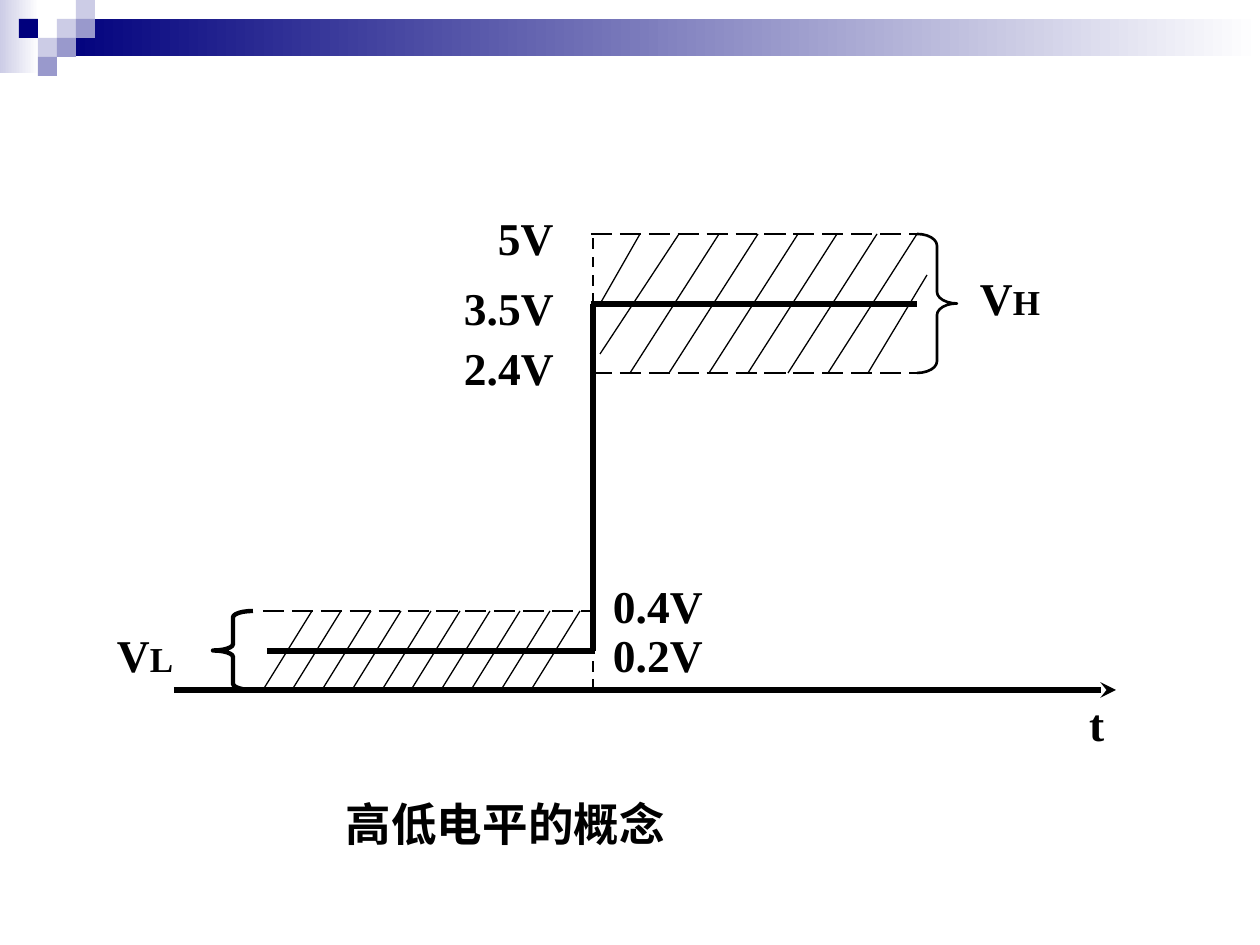
from lxml import etree
from pptx import Presentation
from pptx.dml.color import RGBColor
from pptx.enum.dml import MSO_LINE
from pptx.enum.shapes import MSO_CONNECTOR, MSO_SHAPE
from pptx.oxml.ns import qn
from pptx.util import Emu, Pt

STRAIGHT = MSO_CONNECTOR.STRAIGHT
RECTANGLE = MSO_SHAPE.RECTANGLE
LEFT_BRACE = MSO_SHAPE.LEFT_BRACE
RIGHT_BRACE = MSO_SHAPE.RIGHT_BRACE
DASH = MSO_LINE.DASH
LONG_DASH = MSO_LINE.LONG_DASH
EMU_PER_PX = 914400 / 126

BLACK, WHITE = "000000", "FFFFFF"
NAVY, LAVENDER, PERIWINKLE = "00007D", "CCCCE6", "9999CC"
HIGH_TOP, HIGH, HIGH_BOTTOM = 234, 304, 373
LOW_TOP, LOW, AXIS = 611, 651, 690
EDGE = 593


def px(length):
    return Emu(round(length * EMU_PER_PX))


def color(value):
    return RGBColor.from_string(value)


class Painter:
    """Draws styled elements on the current page."""

    def __init__(self, page, font_name="Times New Roman", font_size=26):
        self.page = page
        self.font_name = font_name
        self.font_size = font_size

    def shape(self, kind, left, top, width, height):
        shape = self.page.shapes.add_shape(kind, px(left), px(top), px(width), px(height))
        shape.shadow.inherit = False
        return shape

    def block(self, left, top, width, height, fill):
        block = self.shape(RECTANGLE, left, top, width, height)
        block.fill.solid()
        block.fill.fore_color.rgb = color(fill)
        block.line.fill.background()

    def fade(self, left, top, width, height, fill):
        band = self.shape(RECTANGLE, left, top, width, height)
        band.fill.gradient()
        band.fill.gradient_angle = 180
        for stop, value in zip(band.fill.gradient_stops, (WHITE, fill)):
            stop.color.rgb = color(value)
        band.line.fill.background()

    def brace(self, kind, left, top, width, height, weight):
        brace = self.shape(kind, left, top, width, height)
        brace.adjustments[0] = round(height / width / 12, 2)
        brace.fill.background()
        brace.line.color.rgb = color(BLACK)
        brace.line.width = Pt(weight)

    def line(self, x1, y1, x2, y2, weight=0.75, dash=None, arrow=False):
        line = self.page.shapes.add_connector(STRAIGHT, px(x1), px(y1), px(x2), px(y2))
        line.line.color.rgb = color(BLACK)
        line.line.width = Pt(weight)
        if dash is not None:
            line.line.dash_style = dash
        if arrow:
            etree.SubElement(line.line._get_or_add_ln(), qn("a:tailEnd"), type="stealth")
        etree.SubElement(line._element.spPr, qn("a:effectLst"))

    def label(self, left, top, width, text, small="", indent=0):
        box = self.page.shapes.add_textbox(px(left), px(top), px(width), px(68))
        frame = box.text_frame
        frame.word_wrap = True
        frame.margin_left = px(13 + indent)
        para = frame.paragraphs[0]
        para.font.name = self.font_name
        para.font.size = Pt(self.font_size)
        para.font.bold = True
        para.font.color.rgb = color(BLACK)
        para.add_run().text = text
        if small:
            span = para.add_run()
            span.text = small
            span.font.size = Pt(20)


def draw_header(painter):
    painter.fade(0, 0, 39, 73, LAVENDER)
    painter.fade(57, 19, 1203, 37, NAVY)
    squares = [(3, 1, LAVENDER), (4, 0, LAVENDER), (4, 1, PERIWINKLE), (2, 2, LAVENDER),
               (1, 1, NAVY), (3, 2, PERIWINKLE), (2, 3, PERIWINKLE)]
    for column, row, fill in squares:
        painter.block(column * 19, row * 19, 19, 19, fill)


def draw_signal(painter):
    painter.line(174, AXIS, 1116, AXIS, 3, arrow=True)
    painter.line(267, LOW, 595, LOW, 3)
    painter.line(591, HIGH, 917, HIGH, 3)
    painter.line(EDGE, LOW, EDGE, HIGH, 3)
    painter.line(EDGE, HIGH, EDGE, HIGH_TOP, 1.5, DASH)
    painter.line(EDGE, AXIS, EDGE, LOW, 1.5, DASH)
    painter.line(263, LOW_TOP, 591, LOW_TOP, 1.5, LONG_DASH)
    for y in (HIGH_TOP, HIGH_BOTTOM):
        painter.line(591, y, 917, y, 1.5, LONG_DASH)


def draw_hatching(painter):
    for step in range(10):
        x = 312 + 268 * step // 9
        painter.line(x, LOW_TOP, x - 49, AXIS)
    for step in range(6):
        x = 630 + 198 * step // 5
        painter.line(x, HIGH_BOTTOM, x + 89, HIGH_TOP)
    painter.line(640, HIGH_TOP, 600, HIGH)
    painter.line(679, HIGH_TOP, 600, 354)
    painter.line(927, 275, 868, HIGH_BOTTOM)


def draw_labels(painter):
    painter.brace(LEFT_BRACE, 213, LOW_TOP, 40, AXIS - LOW_TOP, 2.5)
    painter.brace(RIGHT_BRACE, 917, HIGH_TOP, 40, HIGH_BOTTOM - HIGH_TOP, 1.5)
    painter.label(104, 621, 139, "V", small="L")
    painter.label(967, 264, 139, "V", small="H")
    painter.label(451, 204, 139, "5V", indent=34)
    painter.label(451, 274, 139, "3.5V")
    painter.label(451, 334, 139, "2.4V")
    painter.label(600, 572, 149, "0.4V")
    painter.label(600, 621, 149, "0.2V")
    painter.label(1076, 690, 69, "t")
    painter.label(333, 790, 476, "高低电平的概念")


def main():
    deck = Presentation()
    deck.slide_width, deck.slide_height = px(1260), px(945)
    painter = Painter(deck.slides.add_slide(deck.slide_layouts[6]))
    draw_header(painter)
    draw_signal(painter)
    draw_hatching(painter)
    draw_labels(painter)
    deck.save("out.pptx")


if __name__ == "__main__":
    main()
